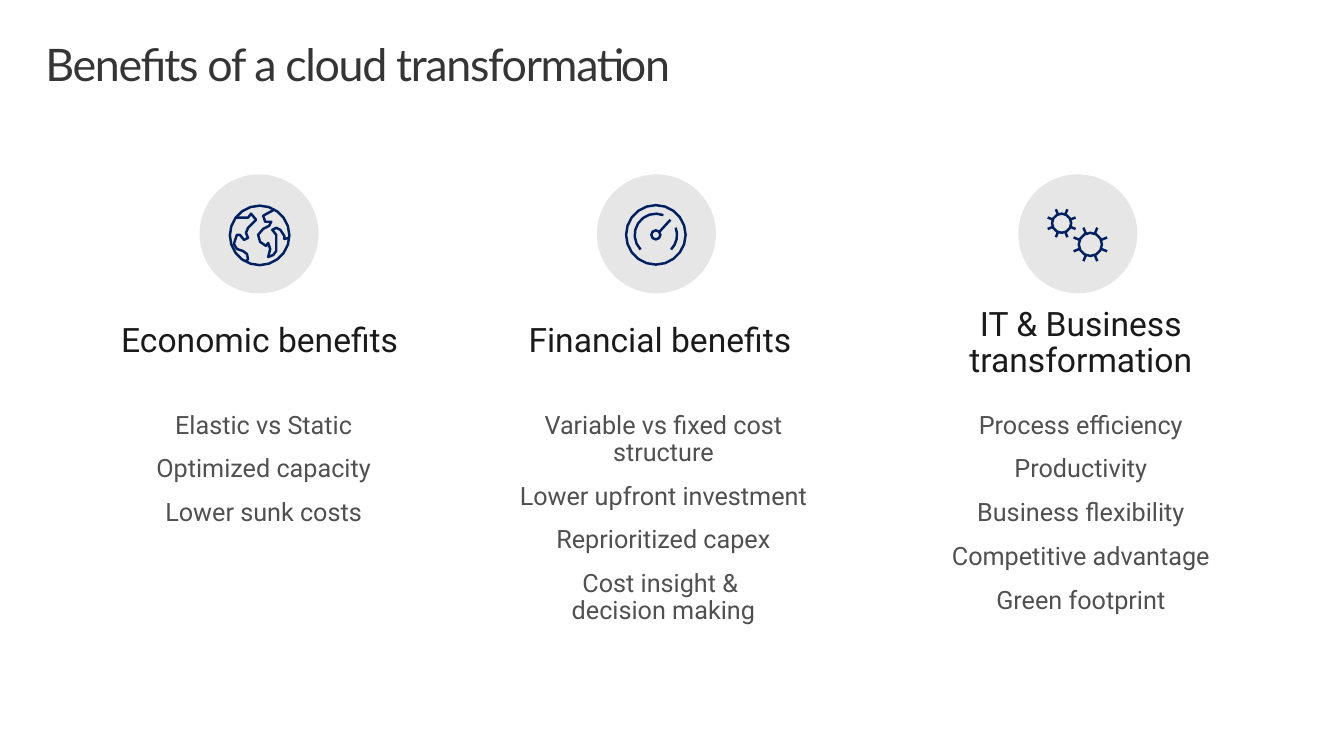
from math import cos, radians, sin

from lxml.etree import SubElement
from pptx import Presentation
from pptx.dml.color import RGBColor
from pptx.enum.shapes import MSO_SHAPE as Shape
from pptx.enum.text import MSO_ANCHOR as Anchor, MSO_AUTO_SIZE as AutoSize, PP_ALIGN as Align
from pptx.oxml.ns import qn
from pptx.util import Inches, Pt

THEME = {
    "disc": RGBColor.from_string("E6E6E6"),
    "icon": RGBColor.from_string("002060"),
    "stroke": Pt(1.75),
    "title": {"name": "Lato", "size": Pt(32), "color": "353535", "align": Align.LEFT, "insets": (0.16, 0.1)},
    "heading": {"name": "Roboto", "size": Pt(24), "color": "1A1A1A", "align": Align.CENTER, "insets": (0.2, 0.16)},
    "list": {"name": "Roboto", "size": Pt(18), "color": "505050", "align": Align.CENTER, "insets": (0, 0)},
}


def write(box, place, lines, style):
    box.left, box.top, box.width, box.height = [Inches(length) for length in place]
    frame = box.text_frame
    side, edge = [Inches(inset) for inset in style["insets"]]
    frame_format = {
        "word_wrap": True, "auto_size": AutoSize.NONE, "vertical_anchor": Anchor.TOP,
        "margin_left": side, "margin_right": side, "margin_top": edge, "margin_bottom": edge,
    }
    for name, value in frame_format.items():
        setattr(frame, name, value)
    for index, line in enumerate(lines):
        para = frame.add_paragraph() if index else frame.paragraphs[0]
        para.text = line
        properties = para._p.get_or_add_pPr()
        properties.set("marL", "0")
        properties.set("indent", "0")
        SubElement(properties, qn("a:buNone"))
        para_format = {
            "alignment": style["align"], "line_spacing": 0.9,
            "space_before": Pt(11.8 if index else 0), "space_after": Pt(0),
        }
        for name, value in para_format.items():
            setattr(para, name, value)
        for span in para.runs:
            for name, value in {"name": style["name"], "size": style["size"], "bold": False}.items():
                setattr(span.font, name, value)
            span.font.color.rgb = RGBColor.from_string(style["color"])


def arc(center, radius, steps, start=0, end=360):
    angles = [radians(start + (end - start) * step / steps) for step in range(steps + 1)]
    return [(center[0] + radius * cos(angle), center[1] + radius * sin(angle)) for angle in angles]


globe = [
    arc((2.575, 2.335), 0.295, 20),
    [(2.44, 2.59), (2.46, 2.57), (2.45, 2.52), (2.41, 2.49), (2.35, 2.47), (2.32, 2.42),
     (2.35, 2.33), (2.38, 2.33), (2.42, 2.38), (2.46, 2.36), (2.44, 2.31), (2.46, 2.26),
     (2.54, 2.18), (2.49, 2.12), (2.46, 2.16), (2.34, 2.16)],
    [(2.72, 2.08), (2.61, 2.14), (2.63, 2.2), (2.69, 2.2), (2.67, 2.24), (2.61, 2.27),
     (2.56, 2.33), (2.58, 2.4), (2.64, 2.44), (2.66, 2.41), (2.68, 2.47), (2.66, 2.55),
     (2.71, 2.53), (2.74, 2.49), (2.74, 2.33), (2.7, 2.28), (2.74, 2.26), (2.78, 2.28),
     (2.82, 2.34), (2.82, 2.37), (2.87, 2.36)],
]

dial = (6.505, 2.33)
gauge = [
    arc(dial, 0.295, 20), arc(dial, 0.045, 8),
    arc(dial, 0.21, 4, -20, 44), arc(dial, 0.21, 8, -224, -69),
    [(6.65, 2.18), (6.54, 2.3)],
]

gears = []
for hub, radius, tip in [((10.53, 2.215), 0.095, 0.15), ((10.815, 2.425), 0.115, 0.18)]:
    gears.append(arc(hub, radius, 12))
    roots, tips = [arc(hub, reach, 8, 22.5, 382.5)[:-1] for reach in (radius, tip)]
    gears += zip(roots, tips)

columns = [
    {"disc": 1.98, "icon": globe, "heading": "Economic benefits",
     "heading_place": (0.85, 3.05, 3.45, 0.69), "list_place": (0.59, 4.09, 4.05, 1.15),
     "items": ["Elastic vs Static", "Optimized capacity", "Lower sunk costs"]},
    {"disc": 5.92, "icon": gauge, "heading": "Financial benefits",
     "heading_place": (4.31, 3.05, 4.47, 0.69), "list_place": (4.94, 4.09, 3.28, 2.14),
     "items": ["Variable vs fixed cost structure", "Lower upfront investment",
               "Reprioritized capex", "Cost insight & \vdecision making"]},
    {"disc": 10.1, "icon": gears, "heading": "IT & Business transformation",
     "heading_place": (8.79, 2.89, 3.86, 1.05), "list_place": (8.61, 4.09, 4.22, 2.04),
     "items": ["Process efficiency", "Productivity", "Business flexibility",
               "Competitive advantage", "Green footprint"]},
]

deck = Presentation()
deck.slide_width, deck.slide_height = Inches(13.33), Inches(7.5)
page = deck.slides.add_slide(deck.slide_layouts.get_by_name("Comparison"))
title, *bodies, spare = page.placeholders
spare.element.getparent().remove(spare.element)

write(title, (0.29, 0.32, 12.75, 0.98), ["Benefits of a cloud transformation"], THEME["title"])
title.text_frame.paragraphs[0].runs[0].font._element.set("spc", "-100")

for column, body in zip(columns, bodies):
    disc = page.shapes.add_shape(
        Shape.ROUNDED_RECTANGLE, Inches(column["disc"]), Inches(1.73), Inches(1.18), Inches(1.18))
    disc.adjustments[0] = 0.5
    disc.shadow.inherit = False
    disc.fill.solid()
    disc.fill.fore_color.rgb = THEME["disc"]
    disc.line.fill.background()

    strokes = [[(Inches(x), Inches(y)) for x, y in stroke] for stroke in column["icon"]]
    builder = page.shapes.build_freeform(*strokes[0][0])
    for index, (start, *rest) in enumerate(strokes):
        if index:
            builder.move_to(*start)
        builder.add_line_segments(rest, close=False)
    icon = builder.convert_to_shape()
    icon.shadow.inherit = False
    icon.fill.background()
    icon.line.color.rgb = THEME["icon"]
    icon.line.width = THEME["stroke"]

    heading = page.shapes.add_textbox(0, 0, 0, 0)
    write(heading, column["heading_place"], [column["heading"]], THEME["heading"])
    write(body, column["list_place"], column["items"], THEME["list"])

deck.save("out.pptx")
